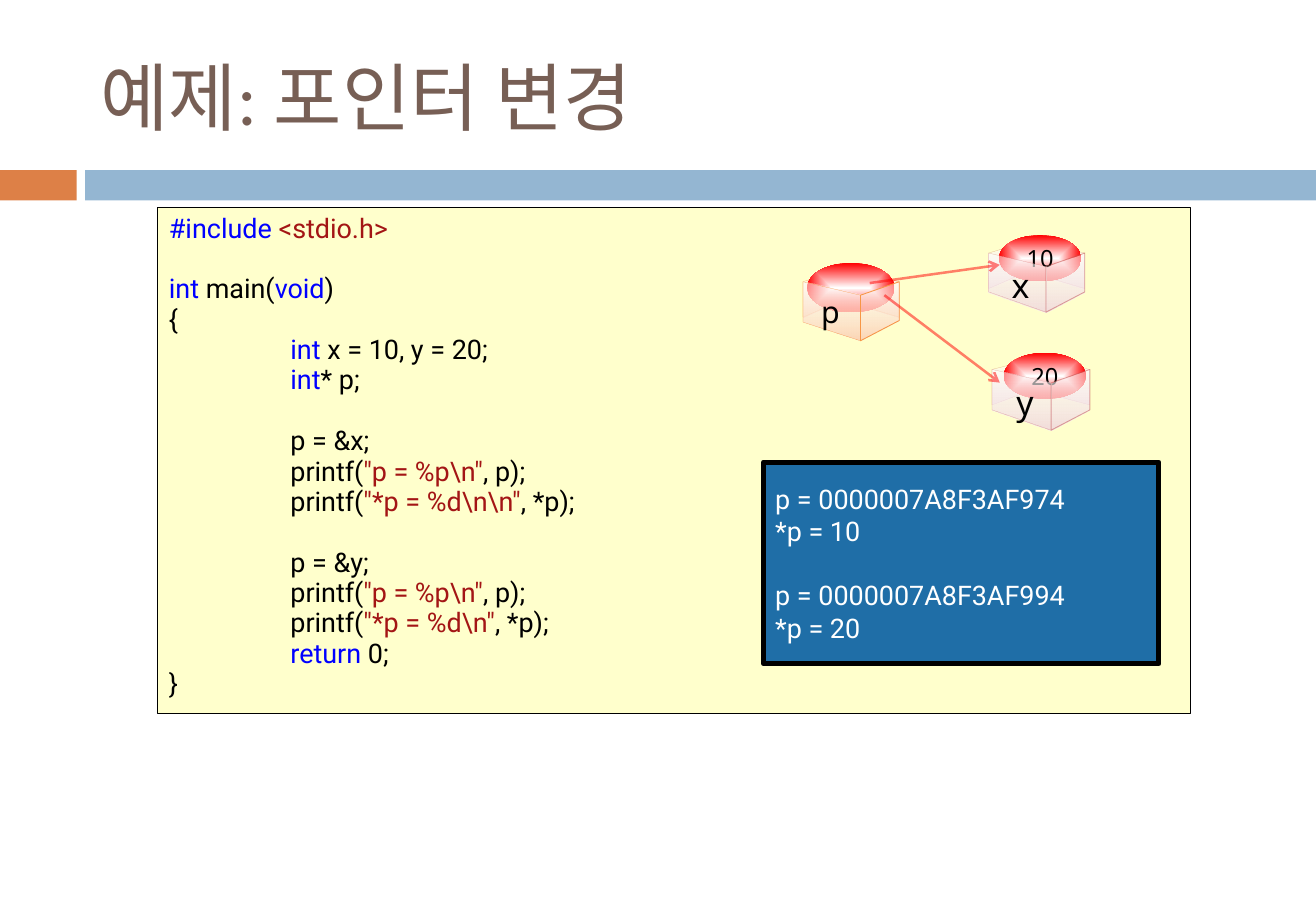
from lxml import etree
from pptx import Presentation
from pptx.dml.color import RGBColor
from pptx.enum.shapes import MSO_CONNECTOR, MSO_SHAPE
from pptx.enum.text import MSO_ANCHOR, PP_ALIGN
from pptx.oxml.ns import qn
from pptx.util import Pt

RECT, OVAL = MSO_SHAPE.RECTANGLE, MSO_SHAPE.OVAL
STRAIGHT = MSO_CONNECTOR.STRAIGHT
TOP, MIDDLE = MSO_ANCHOR.TOP, MSO_ANCHOR.MIDDLE
LEFT, CENTER = PP_ALIGN.LEFT, PP_ALIGN.CENTER

BLACK = RGBColor(0x00, 0x00, 0x00)
WHITE = RGBColor(0xFF, 0xFF, 0xFF)
BROWN = RGBColor(0x77, 0x5F, 0x55)
RUST = RGBColor(0xDD, 0x80, 0x47)
SKY = RGBColor(0x94, 0xB6, 0xD2)
CREAM = RGBColor(0xFF, 0xFF, 0xCC)
BLUE = RGBColor(0x00, 0x00, 0xFF)
STRING = RGBColor(0xA3, 0x15, 0x15)
NAVY = RGBColor(0x1F, 0x6E, 0xA7)
RED = RGBColor(0xFF, 0x00, 0x00)
PINK = RGBColor(0xF2, 0xDC, 0xDB)
BRICK = RGBColor(0xC0, 0x50, 0x4D)
PEACH = RGBColor(0xFC, 0xD5, 0xB5)
ORANGE = RGBColor(0xF7, 0x96, 0x46)


def write(frame, lines, size, font, anchor=TOP, align=LEFT, pitch=None):
    """Each line is (space before, [(text, colour), ...])."""
    frame.vertical_anchor = anchor
    for i, (gap, runs) in enumerate(lines):
        para = frame.paragraphs[0] if i == 0 else frame.add_paragraph()
        para.alignment = align
        # Tab stops every 72 points
        para._p.get_or_add_pPr().set("defTabSz", str(Pt(72)))
        if gap:
            para.space_before = Pt(gap)
        if pitch:
            para.line_spacing = Pt(pitch)
        for text, color in runs:
            run = para.add_run()
            run.text = text
            run.font.size = Pt(size)
            run.font.name = font
            run.font.color.rgb = color


def fade(parent):
    """Make the first colour inside an element half transparent."""
    color = next(parent.iter(qn("a:srgbClr")))
    etree.SubElement(color, qn("a:alpha"), val="50000")


deck = Presentation()
deck.slide_width, deck.slide_height = Pt(780), Pt(540)
slide = deck.slides.add_slide(deck.slide_layouts[6])
shapes = slide.shapes

# Title
title = shapes.add_textbox(Pt(52.5), Pt(18), Pt(695.5), Pt(78)).text_frame
title.word_wrap = True
write(title, [(0, [("예제: 포인터 변경", BROWN)])], 44, "Calibri", MIDDLE)

# Bars, code panel
panels = []
for x, y, w, h, fill, edge in [
    (0, 100.8, 45.5, 18, RUST, 0),
    (50.4, 100.8, 729.6, 18, SKY, 0),
    (93.1, 122.8, 612.5, 300, CREAM, 0.25),
]:
    panel = shapes.add_shape(RECT, Pt(x), Pt(y), Pt(w), Pt(h))
    panel.shadow.inherit = False
    panel.fill.solid()
    panel.fill.fore_color.rgb = fill
    if edge:
        panel.line.color.rgb = BLACK
        panel.line.width = Pt(edge)
    else:
        panel.line.fill.background()
    panels.append(panel)

# Program code
call = ("\tprintf(", BLACK)
value = ('"p = %p\\n"', STRING)
code = [
    (0, [("#include ", BLUE), ("<stdio.h>", STRING)]),
    (18, [("int", BLUE), (" main(", BLACK), ("void", BLUE), (")", BLACK)]),
    (0, [("{", BLACK)]),
    (0, [("\tint", BLUE), (" x = 10, y = 20;", BLACK)]),
    (0, [("\tint", BLUE), ("* p;", BLACK)]),
    (18, [("\tp = &x;", BLACK)]),
    (0, [call, value, (", p);", BLACK)]),
    (0, [call, ('"*p = %d\\n\\n"', STRING), (", *p);", BLACK)]),
    (18, [("\tp = &y;", BLACK)]),
    (0, [call, value, (", p);", BLACK)]),
    (0, [call, ('"*p = %d\\n"', STRING), (", *p);", BLACK)]),
    (0, [("\treturn", BLUE), (" 0;", BLACK)]),
    (0, [("}", BLACK)]),
]
write(panels[-1].text_frame, code, 16, "Roboto", pitch=18)

# Boxes for the variables: back faces, disc, front faces, name
BACK = [
    ([(23.5, 0), (23.5, 18), (57.4, 27.5), (57.4, 6.5)], 0.1),
    ([(0, 27.5), (23.5, 18), (23.5, 0), (0, 6.3)], 0.1),
]
FRONT = [
    ([(0, 6.5), (0, 30.2), (34.2, 41.8), (34.2, 14.4)], 0.1),
    ([(34.2, 41.8), (57.4, 30), (57.4, 6.5), (34.2, 14.4)], 0.5),
]
for name, num, x, y, disc, shift, size, tint, edge in [
    ("y", "20", 588.4, 212.9, (6.5, -3.8, 48.8, 27.4), 7, 20, PINK, BRICK),
    ("p", "", 475.5, 160.5, (2.9, -4.6, 51.8, 29.3), 4.2, 18, PEACH, ORANGE),
    ("x", "10", 585.8, 143.2, (6.3, -3.8, 48.8, 27.4), 6.8, 20, PINK, BRICK),
]:
    for faces in (BACK, FRONT):
        for points, width in faces:
            outline = [(x + dx, y + dy) for dx, dy in points]
            pen = shapes.build_freeform(*outline[0], scale=Pt(1))
            pen.add_line_segments(outline[1:], close=True)
            face = pen.convert_to_shape()
            face.shadow.inherit = False
            face.fill.gradient()
            face.fill.gradient_angle = 270
            for stop, color in zip(face.fill.gradient_stops, (WHITE, tint)):
                stop.color.rgb = color
            fade(face._element.spPr.find(qn("a:gradFill")))
            face.line.color.rgb = edge
            face.line.width = Pt(width)
            if edge == BRICK:
                fade(face._element.spPr.find(qn("a:ln")))
        if faces is BACK:
            dx, dy, w, h = disc
            oval = shapes.add_shape(OVAL, Pt(x + dx), Pt(y + dy), Pt(w), Pt(h))
            oval.shadow.inherit = False
            oval.line.fill.background()
            oval.fill.gradient()
            for stop, color in zip(oval.fill.gradient_stops, (WHITE, RED)):
                stop.color.rgb = color
            grad = oval._element.spPr.find(qn("a:gradFill"))
            grad.remove(grad.find(qn("a:lin")))
            ring = etree.SubElement(grad, qn("a:path"), {"path": "shape"})
            etree.SubElement(ring, qn("a:fillToRect"),
                             l="50000", t="50000", r="50000", b="50000")
            if num:
                oval.text_frame.word_wrap = False
                write(oval.text_frame, [(0, [(num, BLACK)])], 14,
                      "Noto Sans", MIDDLE, CENTER)
    label = shapes.add_textbox(Pt(x + shift), Pt(y + 10), Pt(28), Pt(31))
    label.text_frame.word_wrap = False
    write(label.text_frame, [(0, [(name, BLACK)])], size, "Noto Sans")

# Arrows from p to y and to x
for x1, y1, x2, y2 in [(524.2, 175, 592.6, 226.8), (515.5, 167.8, 592.6, 157)]:
    arrow = shapes.add_connector(STRAIGHT, Pt(x1), Pt(y1), Pt(x2), Pt(y2))
    arrow.line.color.rgb = RED
    arrow.line.width = Pt(1.5)
    props = arrow._element.spPr
    line = props.find(qn("a:ln"))
    fade(line)
    etree.SubElement(line, qn("a:tailEnd"), type="arrow")
    etree.SubElement(props, qn("a:effectLst"))

# Program output
screen = shapes.add_shape(RECT, Pt(452.4), Pt(274), Pt(234.5), Pt(119.5))
screen.shadow.inherit = False
screen.fill.solid()
screen.fill.fore_color.rgb = NAVY
screen.line.color.rgb = BLACK
screen.line.width = Pt(3)
output = [(0, "p = 0000007A8F3AF974"), (0, "*p = 10"),
          (19, "p = 0000007A8F3AF994"), (0, "*p = 20")]
write(screen.text_frame, [(gap, [(text, WHITE)]) for gap, text in output],
      16, "Roboto", MIDDLE)

deck.save("out.pptx")
